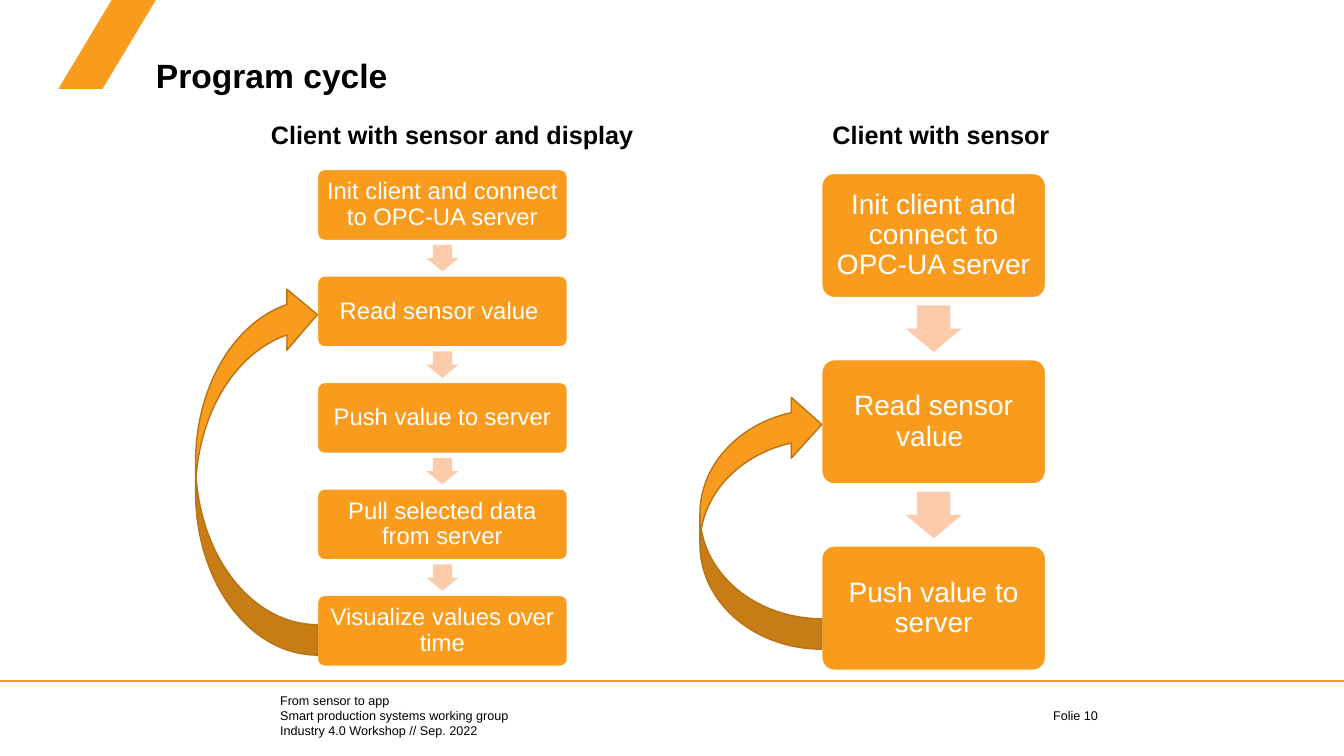
import dataclasses

import lxml.etree
import pptx
import pptx.dml.color
import pptx.enum.shapes
import pptx.enum.text
import pptx.oxml.ns
import pptx.util

Cm = pptx.util.Cm
Pt = pptx.util.Pt
Shapes = pptx.enum.shapes.MSO_SHAPE
Align = pptx.enum.text.PP_ALIGN
Anchor = pptx.enum.text.MSO_ANCHOR


@dataclasses.dataclass(frozen=True)
class Theme:
    font: str = "Arial"
    accent: str = "F99B1C"
    accent_dark: str = "B87315"
    accent_light: str = "FBCBAC"
    dark: str = "000000"
    light: str = "FFFFFF"
    title_size: int = 24
    heading_size: int = 18
    large_step_size: int = 20
    small_step_size: int = 17
    footer_size: int = 9


@dataclasses.dataclass(frozen=True)
class Box:
    left: float
    top: float
    width: float
    height: float

    def lengths(self):
        return Cm(self.left), Cm(self.top), Cm(self.width), Cm(self.height)


THEME = Theme()


def color(value):
    return pptx.dml.color.RGBColor.from_string(value)


def write(shape, text, size, ink=THEME.dark, bold=False, align=Align.LEFT,
          anchor=Anchor.TOP, margins=(0.25, 0.13), spacing=None):
    frame = shape.text_frame
    frame.text = text
    frame.word_wrap = True
    frame.auto_size = pptx.enum.text.MSO_AUTO_SIZE.NONE
    frame.vertical_anchor = anchor
    frame.margin_left = frame.margin_right = Cm(margins[0])
    frame.margin_top = frame.margin_bottom = Cm(margins[1])
    for paragraph in frame.paragraphs:
        paragraph.alignment = align
        paragraph.space_before = Pt(0)
        if spacing:
            paragraph.line_spacing = spacing
        for run in paragraph.runs:
            run.font.name = THEME.font
            run.font.size = Pt(size)
            run.font.bold = bold
            run.font.color.rgb = color(ink)


def add_text(slide, box, text, size, **style):
    write(slide.shapes.add_textbox(*box.lengths()), text, size, **style)


def add_shape(slide, kind, box, fill, line=None, adjustments=()):
    shape = slide.shapes.add_shape(kind, *box.lengths())
    shape.shadow.inherit = False
    shape.fill.solid()
    shape.fill.fore_color.rgb = color(fill)
    if line:
        shape.line.color.rgb = color(line)
        shape.line.width = Pt(1)
    else:
        shape.line.fill.background()
    for index, value in enumerate(adjustments):
        shape.adjustments[index] = value
    return shape


def add_header(slide, box, text):
    add_shape(slide, Shapes.PARALLELOGRAM, Box(box.left, box.top, 2.46, 2.24),
              THEME.accent, adjustments=[0.6])
    title = slide.shapes.title
    title.left, title.top, title.width, title.height = Box(
        box.left + 2.46, box.top + 0.69, box.width - 2.46, box.height - 0.69).lengths()
    write(title, text, THEME.title_size, bold=True, anchor=Anchor.BOTTOM,
          margins=(0, 0), spacing=0.9)


def add_footer(slide, box, text, number):
    rule = slide.shapes.add_connector(
        pptx.enum.shapes.MSO_CONNECTOR.STRAIGHT,
        Cm(box.left), Cm(box.top), Cm(box.left + box.width), Cm(box.top))
    rule.line.color.rgb = color(THEME.accent)
    rule.line.width = Pt(1.5)
    lxml.etree.SubElement(rule._element.spPr, pptx.oxml.ns.qn("a:effectLst"))
    add_text(slide, Box(box.left + 7.06, box.top + 0.29, 17.04, 1.14), text,
             THEME.footer_size, margins=(0, 0))
    add_text(slide, Box(box.left + 26.29, box.top + 0.54, 2.03, 0.64), number,
             THEME.footer_size)


def add_steps(slide, box, steps, size, margin):
    step_height = box.height / (1.5 * len(steps) - 0.5)
    gap = step_height / 2
    length, breadth = 0.375 * step_height, 0.45 * step_height
    for index, step in enumerate(steps):
        top = box.top + index * (step_height + gap)
        if index:
            arrow = add_shape(
                slide, Shapes.RIGHT_ARROW,
                Box(box.left + (box.width - length) / 2,
                    top - (gap + breadth) / 2, length, breadth),
                THEME.accent_light, adjustments=[0.6, 0.5])
            arrow.rotation = 90
        card = add_shape(slide, Shapes.ROUNDED_RECTANGLE,
                         Box(box.left, top, box.width, step_height),
                         THEME.accent, THEME.light, [0.1])
        write(card, step, size, ink=THEME.light, align=Align.CENTER,
              anchor=Anchor.MIDDLE, margins=(margin, margin), spacing=0.9)


def add_cycle(slide, box, heading, heading_offset, steps, size, margin,
              loop_top, loop_height):
    add_text(slide, Box(box.left + heading_offset, 2.87, 10.34, 1.02), heading,
             THEME.heading_size, bold=True)
    add_steps(slide, box, steps, size, margin)
    loop = add_shape(slide, Shapes.CURVED_RIGHT_ARROW,
                     Box(box.left - 3.07, box.top + loop_top, 3.07, loop_height),
                     THEME.accent, THEME.accent_dark)
    loop._element.spPr.xfrm.set("flipV", "1")


def main():
    presentation = pptx.Presentation()
    presentation.slide_width = Cm(33.87)
    presentation.slide_height = Cm(19.05)
    slide = presentation.slides.add_slide(presentation.slide_layouts[5])
    add_header(slide, Box(1.47, 0, 30.84, 2.41), "Program cycle")
    add_cycle(slide, Box(8, 4.27, 6.3, 12.52), "Client with sensor and display", -1.42,
              ["Init client and connect to OPC-UA server", "Read sensor value ",
               "Push value to server", "Pull selected data from server",
               "Visualize values over time"],
              THEME.small_step_size, 0.17, 2.89, 9.35)
    add_cycle(slide, Box(20.71, 4.37, 5.64, 12.52), "Client with sensor", 0.02,
              ["Init client and connect to OPC-UA server", "Read sensor value ",
               "Push value to server"],
              THEME.large_step_size, 0.2, 5.56, 6.43)
    add_footer(slide, Box(0, 17.16, 33.87, 1.89),
               "From sensor to app\vSmart production systems working group\n"
               "Industry 4.0 Workshop // Sep. 2022", "Folie 10")
    presentation.save("out.pptx")


if __name__ == "__main__":
    main()
